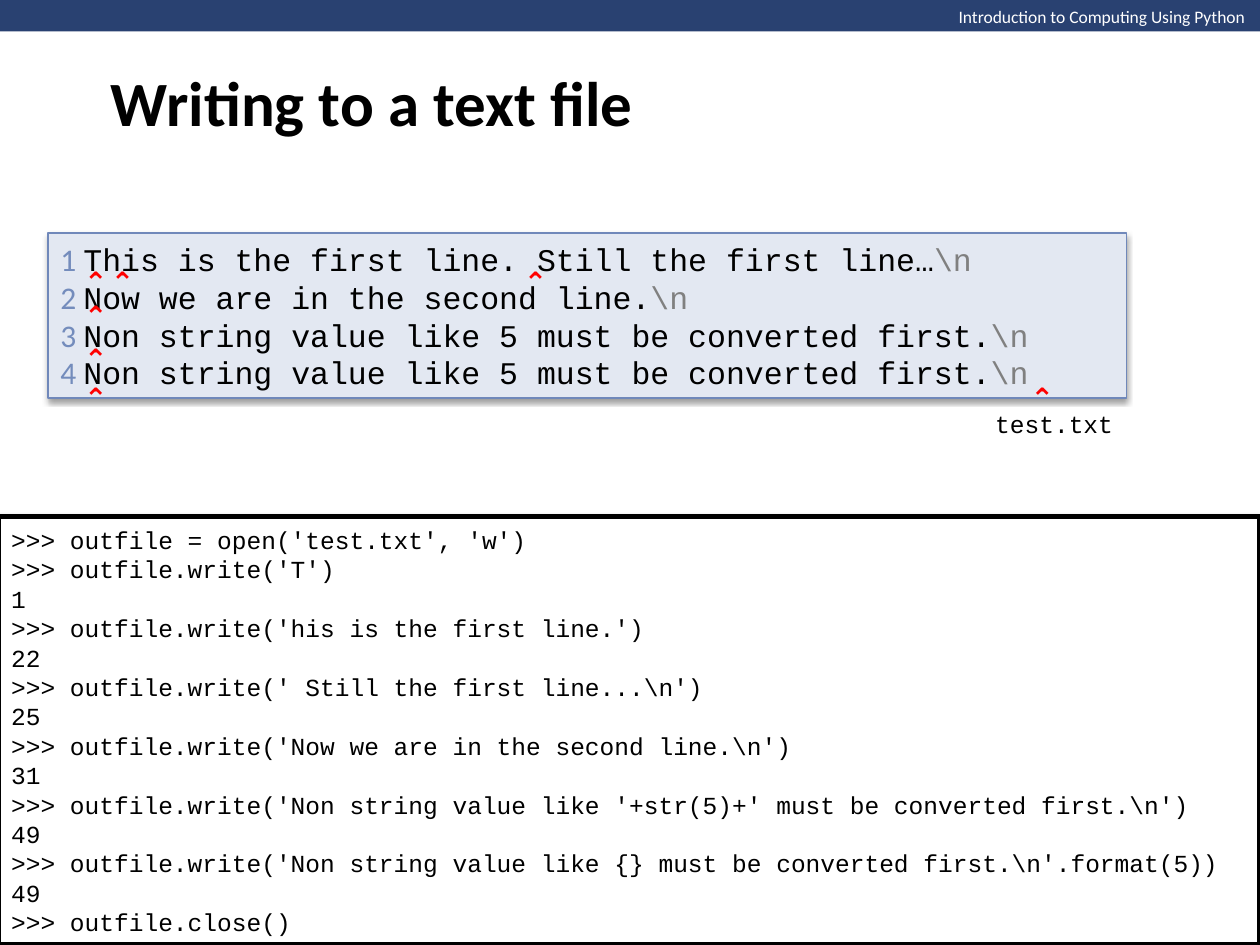
from lxml.etree import SubElement
from pptx import Presentation
from pptx.dml.color import RGBColor
from pptx.enum.shapes import MSO_SHAPE as Shape
from pptx.enum.text import MSO_ANCHOR as Anchor, MSO_AUTO_SIZE as AutoSize, PP_ALIGN as Align
from pptx.oxml.ns import qn
from pptx.util import Pt

BODY, CODE, MARK = "Calibri", "Courier New", "Open Sans"
BLACK, WHITE = "000000", "FFFFFF"
WIDTH, HEIGHT = 720, 540

FILE_LINES = [
    "This is the first line. Still the first line…",
    "Now we are in the second line.",
    "Non string value like 5 must be converted first.",
    "Non string value like 5 must be converted first.",
]

SESSION = r"""
>>> outfile = open('test.txt', 'w')
>>> outfile.write('T')
1
>>> outfile.write('his is the first line.')
22
>>> outfile.write(' Still the first line...\n')
25
>>> outfile.write('Now we are in the second line.\n')
31
>>> outfile.write('Non string value like '+str(5)+' must be converted first.\n')
49
>>> outfile.write('Non string value like {} must be converted first.\n'.format(5))
49
>>> outfile.close()
""".strip().splitlines()

# Cursor positions after each call, as left and top
CURSORS = [(41, 147.6), (56.2, 147.6), (292.3, 147.6), (41, 167),
           (41, 191.5), (41, 213.8), (581.8, 213.8)]


def color(value):
    return RGBColor.from_string(value)


class SlideBuilder:
    """Holds the text styles and the page being built."""

    styles = {
        "title": {"name": BODY, "size": Pt(36), "bold": True, "color": BLACK},
        "header": {"name": BODY, "size": Pt(10), "color": WHITE},
        "number": {"name": BODY, "size": Pt(18), "color": "748CBC"},
        "line": {"name": CODE, "size": Pt(18), "color": BLACK},
        "newline": {"name": CODE, "size": Pt(18), "color": "808080"},
        "code": {"name": CODE, "size": Pt(14), "color": BLACK},
        "cursor": {"name": MARK, "size": Pt(16), "bold": True, "color": "FF0000"},
    }

    def __init__(self, page):
        self.page = page

    def fill_text(self, box, paragraphs, anchor=Anchor.MIDDLE, wrap=True):
        """Fill a box with paragraphs, each a list of (text, style) spans."""
        frame = box.text_frame
        settings = {"auto_size": AutoSize.NONE, "word_wrap": wrap, "vertical_anchor": anchor}
        for key, value in settings.items():
            setattr(frame, key, value)
        for index, spans in enumerate(paragraphs):
            para = frame.add_paragraph() if index else frame.paragraphs[0]
            para.alignment = Align.LEFT
            for text, style in spans:
                span = para.add_run()
                span.text = text
                for key, value in self.styles[style].items():
                    if key == "color":
                        span.font.color.rgb = color(value)
                    else:
                        setattr(span.font, key, value)

    def title(self, text, left, top, width, height):
        box = self.page.shapes.title
        place = {"left": left, "top": top, "width": width, "height": height}
        for key, value in place.items():
            setattr(box, key, Pt(value))
        self.fill_text(box, [[(text, "title")]])

    def label(self, text, style, left, top, width, height, anchor=Anchor.MIDDLE):
        box = self.page.shapes.add_textbox(Pt(left), Pt(top), Pt(width), Pt(height))
        self.fill_text(box, [[(text, style)]], anchor, wrap=False)

    def panel(self, left, top, width, height, fill, line=None, weight=0):
        box = self.page.shapes.add_shape(
            Shape.RECTANGLE, Pt(left), Pt(top), Pt(width), Pt(height))
        box.shadow.inherit = False
        box.fill.solid()
        box.fill.fore_color.rgb = color(fill)
        if line:
            box.line.color.rgb = color(line)
            box.line.width = Pt(weight)
            self.drop_shadow(box)
        else:
            box.line.fill.background()
        return box

    def drop_shadow(self, box):
        effects = box._element.spPr.find(qn("a:effectLst"))
        shadow = SubElement(effects, qn("a:outerShdw"), blurRad=str(Pt(3.1)),
                            dist=str(Pt(1.6)), dir="5400000", rotWithShape="0")
        tint = SubElement(shadow, qn("a:srgbClr"), val=BLACK)
        SubElement(tint, qn("a:alpha"), val="38000")


def main():
    deck = Presentation()
    deck.slide_width, deck.slide_height = Pt(WIDTH), Pt(HEIGHT)
    builder = SlideBuilder(deck.slides.add_slide(deck.slide_layouts[5]))

    # Header band and title
    builder.panel(0, 0, WIDTH + 0.7, 18, "294171")
    builder.label("Introduction to Computing Using Python", "header",
                  540.7, 0, 180, 19.4, Anchor.TOP)
    builder.title("Writing to a text file", 56.2, 0, 612, 116)

    # File contents with line numbers
    contents = builder.panel(27.4, 133.2, 616.3, 94.3, "E3E8F2", "7088BA", 0.75)
    builder.fill_text(contents, [
        [(f"{number} ", "number"), (text, "line"), (r"\n", "newline")]
        for number, text in enumerate(FILE_LINES, 1)])
    builder.label("test.txt", "code", 561.6, 229.7, 82, 24.5)

    # Cursor marks
    for left, top in CURSORS:
        builder.label("⌃", "cursor", left, top, 29.5, 26.6)

    # Interpreter session
    session = builder.panel(-0.7, 295.2, WIDTH + 0.7, 244.8, WHITE, BLACK, 3)
    builder.fill_text(session, [[(text, "code")] for text in SESSION])

    deck.save("out.pptx")


if __name__ == "__main__":
    main()
